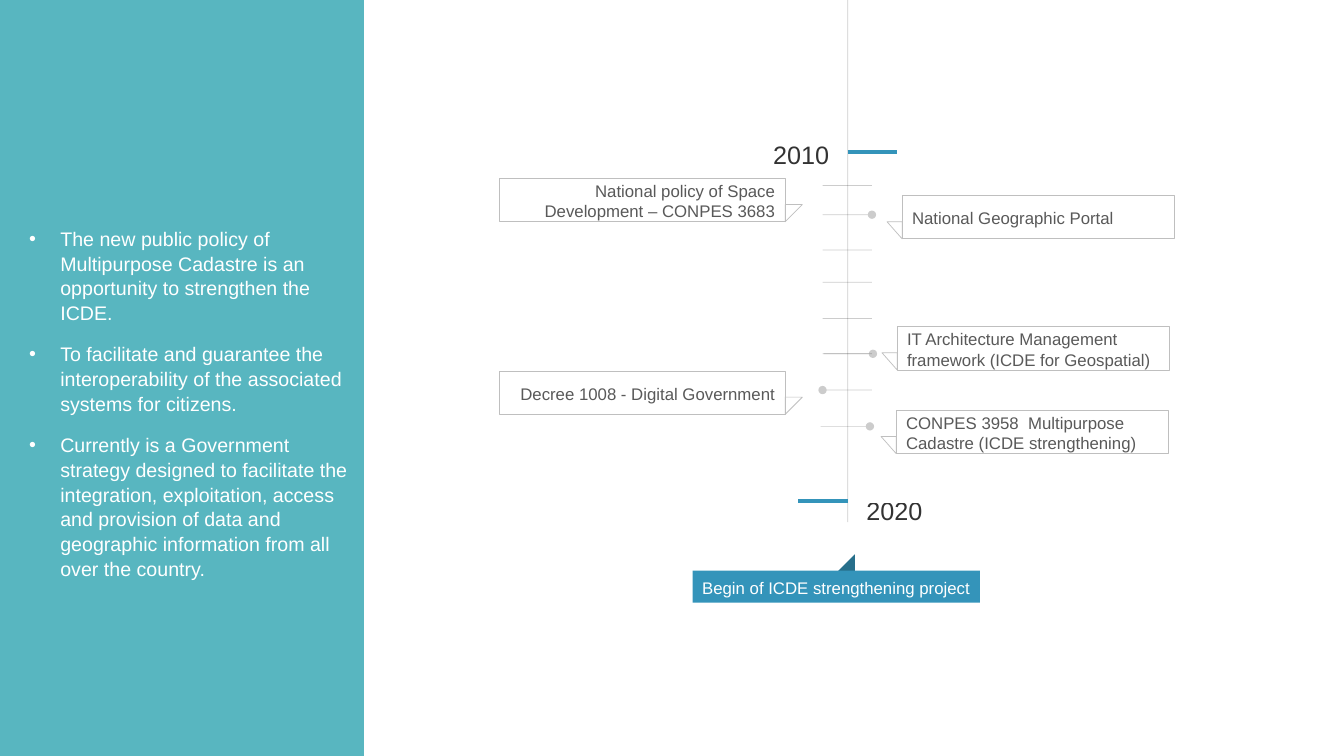
from dataclasses import dataclass

from lxml import etree
from pptx import Presentation
from pptx import util as u
from pptx.dml.color import RGBColor
from pptx.enum import shapes, text
from pptx.oxml.ns import qn

CELL = u.Inches(0.1)  # one grid column or row
COLS, ROWS = 133.33, 75


@dataclass(frozen=True)
class Theme:
    panel: str = "58B6C0"
    accent: str = "3494BA"
    accent_dark: str = "276F8B"
    outline: str = "BFBFBF"
    body: str = "595959"
    light: str = "FFFFFF"
    ink: str = "000000"
    font: str = "Arial"
    year_size: int = 18
    panel_size: int = 14
    label_size: int = 12
    hairline: float = 0.5
    marker_line: float = 2.5


@dataclass(frozen=True)
class Box:
    col: float
    row: float
    cols: float
    rows: float

    def emu(self) -> list[int]:
        return [grid(v) for v in (self.col, self.row, self.cols, self.rows)]


@dataclass(frozen=True)
class Callout:
    label: str
    col: float
    row: float
    points_right: bool = False


@dataclass(frozen=True)
class Tick:
    row: float
    col: float = 81.6
    dot: str = ""


@dataclass(frozen=True)
class Year:
    label: str
    box: Box
    align: text.PP_ALIGN
    marker_col: float
    marker_row: float


THEME = Theme()
AXIS_COL, AXIS_END = 84.1, 51.8
TICK_COLS, CALLOUT_ROWS = 4.9, 4.3
LEFT, RIGHT, CENTER = text.PP_ALIGN.LEFT, text.PP_ALIGN.RIGHT, text.PP_ALIGN.CENTER

POLICY_POINTS = [
    "The new public policy of Multipurpose Cadastre is an opportunity to strengthen the ICDE.",
    "To facilitate and guarantee the interoperability of the associated systems for citizens.",
    "Currently is a Government strategy designed to facilitate the integration, exploitation, "
    "access and provision of data and geographic information from all over the country.",
]
CALLOUTS = [
    Callout("National policy of Space Development – CONPES 3683", 49.5, 17.7, True),
    Callout("National Geographic Portal", 89.5, 19.4),
    Callout("IT Architecture Management framework (ICDE for Geospatial)", 89, 32.4),
    Callout("Decree 1008 - Digital Government", 49.5, 36.8, True),
    Callout("CONPES 3958  Multipurpose Cadastre (ICDE strengthening)", 88.9, 40.7),
]
TICKS = [
    Tick(18.4), Tick(21.3, dot="tailEnd"), Tick(24.8), Tick(28), Tick(31.6), Tick(35.1),
    Tick(35.1, 81.7, "tailEnd"), Tick(38.7, dot="headEnd"), Tick(42.3, 81.4, "tailEnd"),
]
YEARS = [
    Year("2010", Box(76.7, 12.7, 9.9, 4.3), LEFT, AXIS_COL, 15.1),
    Year("2020", Box(81.6, 48.1, 9.9, 4.3), RIGHT, 79.2, 49.7),
]


def grid(cells: float) -> int:
    return round(cells * CELL)


def rgb(value: str) -> RGBColor:
    return RGBColor.from_string(value)


def set_opacity(element, percent: int) -> None:
    for color in element.iter(qn("a:srgbClr")):
        etree.SubElement(color, qn("a:alpha"), val=str(percent * 1000))


def add_line(s, x1: float, y1: float, x2: float, y2: float, color: str, width: float,
             opacity: int = 100, dot: str = ""):
    """Draw a line; dot names the end (headEnd or tailEnd) that gets an oval."""
    line = s.shapes.add_connector(shapes.MSO_CONNECTOR.STRAIGHT, *map(grid, (x1, y1, x2, y2)))
    line.line.color.rgb = rgb(color)
    line.line.width = u.Pt(width)
    props = line._element.spPr
    if opacity < 100:
        set_opacity(props, opacity)
    if dot:
        etree.SubElement(props.find(qn("a:ln")), qn("a:" + dot), type="oval")
    etree.SubElement(props, qn("a:effectLst"))


def add_preset(parent, kind: shapes.MSO_SHAPE, box: Box, fill: str = "", outline: str = "",
               rotation: float = 0):
    sp = parent.shapes.add_shape(kind, *box.emu())
    sp.shadow.inherit = False
    sp.rotation = rotation
    if fill:
        sp.fill.solid()
        sp.fill.fore_color.rgb = rgb(fill)
    else:
        sp.fill.background()
    if outline:
        sp.line.color.rgb = rgb(outline)
        sp.line.width = u.Pt(THEME.hairline)
    else:
        sp.line.fill.background()
    return sp


def write(sp, label: str, size: int, color: str, align: text.PP_ALIGN) -> None:
    tf = sp.text_frame
    tf.text = label
    tf.word_wrap = True
    for p in tf.paragraphs:
        p.alignment = align
        for r in p.runs:
            r.font.name, r.font.size = THEME.font, u.Pt(size)
            r.font.color.rgb = rgb(color)


def write_label(sp, label: str, color: str, align: text.PP_ALIGN, side: float) -> None:
    write(sp, label, THEME.label_size, color, align)
    tf = sp.text_frame
    tf.vertical_anchor = text.MSO_ANCHOR.MIDDLE
    tf.margin_left = tf.margin_right = u.Inches(side)
    tf.margin_top, tf.margin_bottom = u.Inches(0.07), u.Inches(0.05)


def add_panel(s) -> None:
    add_preset(s, shapes.MSO_SHAPE.RECTANGLE, Box(0, 0, 36.1, ROWS), THEME.panel)
    sp = s.shapes.add_textbox(*Box(1.9, 21.9, 34.2, 36.4).emu())
    write(sp, "\n".join(POLICY_POINTS), THEME.panel_size, THEME.light, LEFT)
    sp.text_frame.auto_size = text.MSO_AUTO_SIZE.SHAPE_TO_FIT_TEXT
    for p in sp.text_frame.paragraphs:
        props = p._p.get_or_add_pPr()
        props.set("marL", str(grid(3.1)))
        props.set("indent", str(-grid(3.1)))
        etree.SubElement(props, qn("a:buFont"), typeface=THEME.font)
        etree.SubElement(props, qn("a:buChar"), char="•")
        tabs = etree.SubElement(props, qn("a:tabLst"))
        etree.SubElement(tabs, qn("a:tab"), pos=str(grid(5)), algn="l")
        p.line_spacing = 1.05
        p.space_after = u.Pt(12)


def add_callout(s, callout: Callout) -> None:
    """Group a label box with the tail that points from it to the axis."""
    group = s.shapes.add_group_shape()
    right = callout.points_right
    cols, tail_cols, tail_rows = (28.4, 1.7, 1.7) if right else (27, 1.5, 1.7)
    box = Box(callout.col, callout.row, cols, CALLOUT_ROWS)
    sp = add_preset(group, shapes.MSO_SHAPE.RECTANGLE, box, outline=THEME.outline)
    write_label(sp, callout.label, THEME.body, RIGHT if right else LEFT, 0.1)
    tail_col = box.col + cols if right else box.col - tail_cols
    tail = Box(tail_col, box.row + CALLOUT_ROWS - tail_rows, tail_cols, tail_rows)
    add_preset(group, shapes.MSO_SHAPE.RIGHT_TRIANGLE, tail, outline=THEME.outline,
               rotation=90 if right else 180)


def add_year(s, year: Year) -> None:
    add_line(s, year.marker_col, year.marker_row, year.marker_col + TICK_COLS, year.marker_row,
             THEME.accent, THEME.marker_line)
    sp = s.shapes.add_textbox(*year.box.emu())
    write(sp, year.label, THEME.year_size, THEME.ink, year.align)
    set_opacity(sp._element, 80)
    tf = sp.text_frame
    tf.margin_left = tf.margin_right = 0
    tf.auto_size = text.MSO_AUTO_SIZE.SHAPE_TO_FIT_TEXT
    tf.paragraphs[0].line_spacing = 1.2


def add_project_start(s) -> None:
    add_preset(s, shapes.MSO_SHAPE.RIGHT_TRIANGLE, Box(83.1, 55, 1.7, 1.7),
               THEME.accent_dark, rotation=270)
    sp = add_preset(s, shapes.MSO_SHAPE.RECTANGLE, Box(68.7, 56.6, 28.5, 3.2), THEME.accent)
    write_label(sp, "Begin of ICDE strengthening project", THEME.light, CENTER, 0)


def main() -> None:
    prs = Presentation()
    prs.slide_width, prs.slide_height = grid(COLS), grid(ROWS)
    s = prs.slides.add_slide(prs.slide_layouts[6])
    add_line(s, AXIS_COL, 0, AXIS_COL, AXIS_END, THEME.ink, THEME.hairline, 20)
    add_panel(s)
    add_project_start(s)
    for tick in TICKS:
        add_line(s, tick.col, tick.row, tick.col + TICK_COLS, tick.row,
                 THEME.ink, THEME.hairline, 20, tick.dot)
    for callout in CALLOUTS:
        add_callout(s, callout)
    for year in YEARS:
        add_year(s, year)
    prs.save("out.pptx")


if __name__ == "__main__":
    main()
